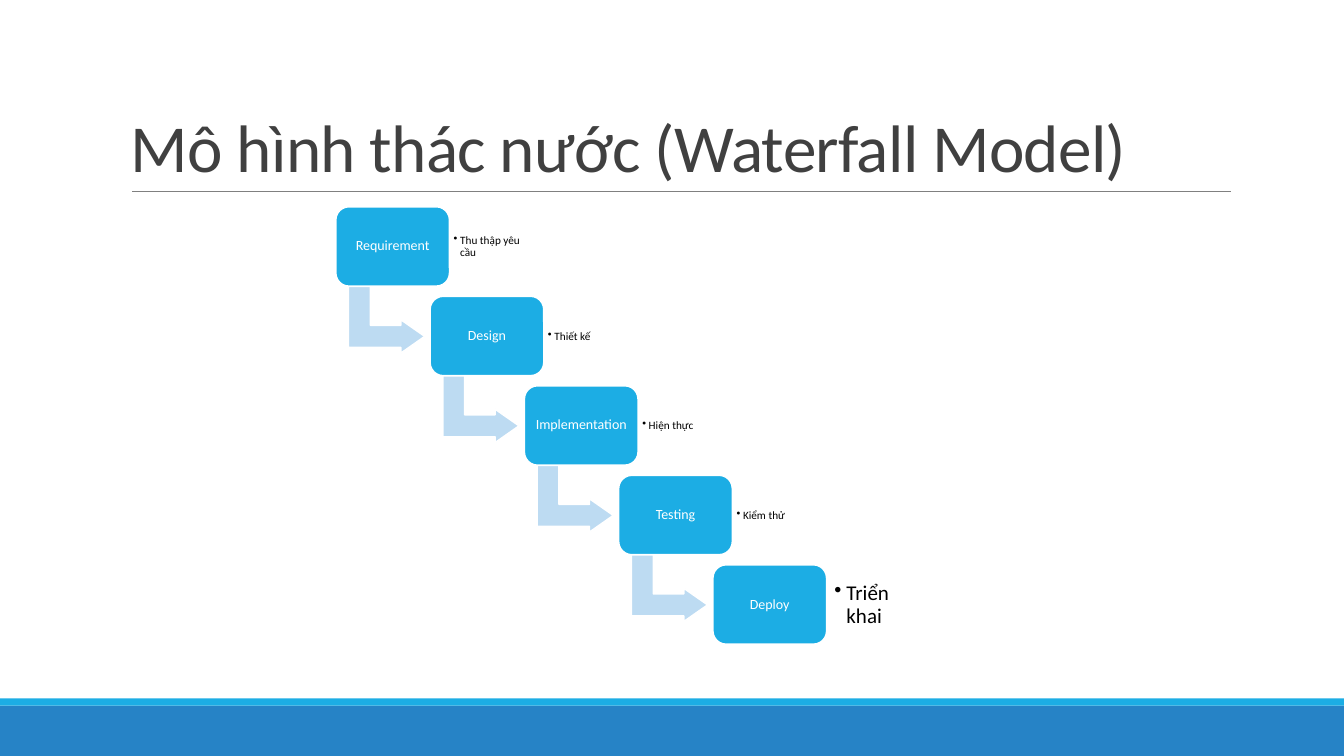
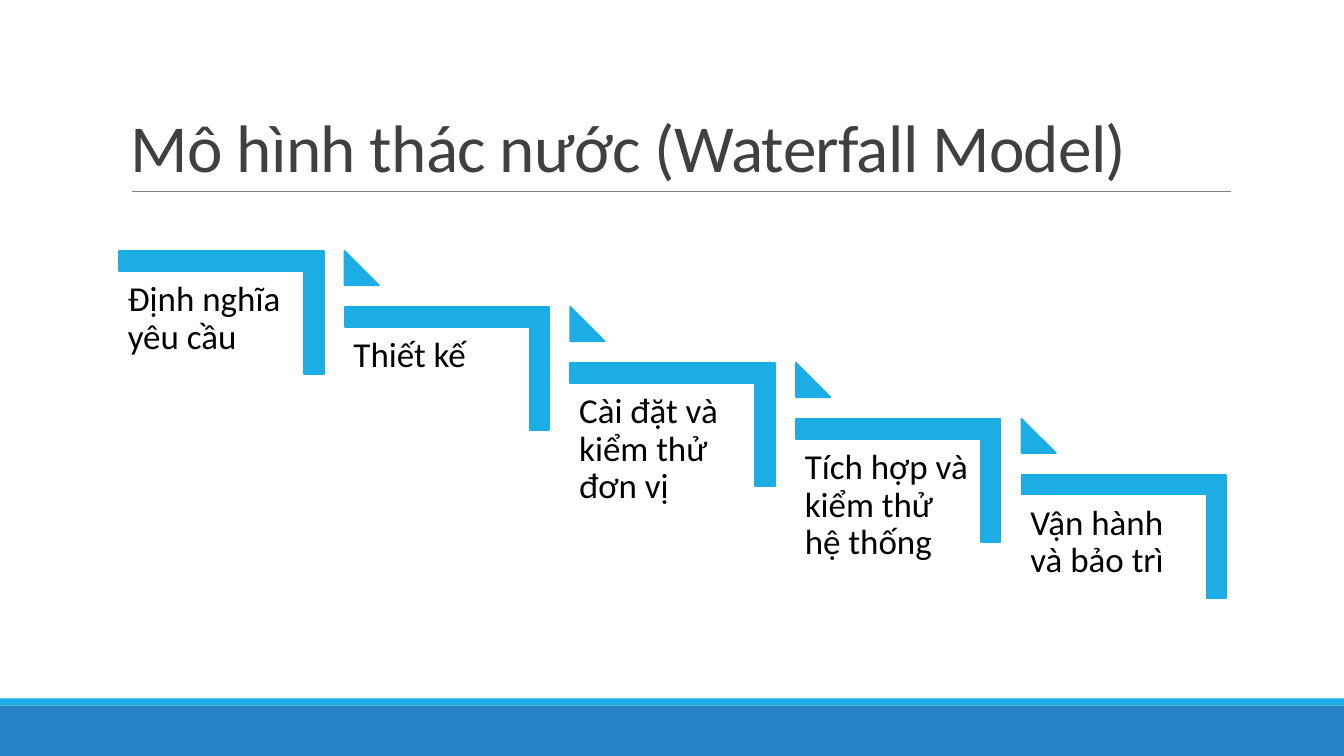
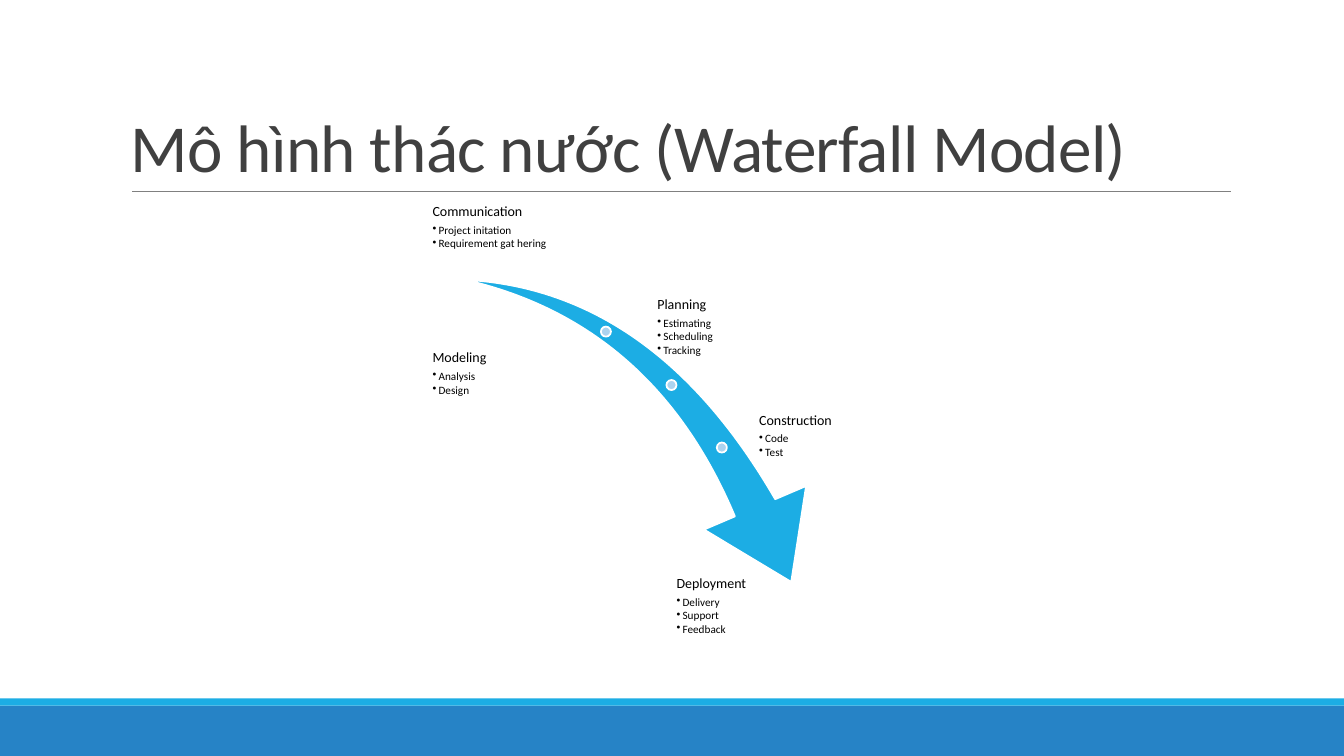
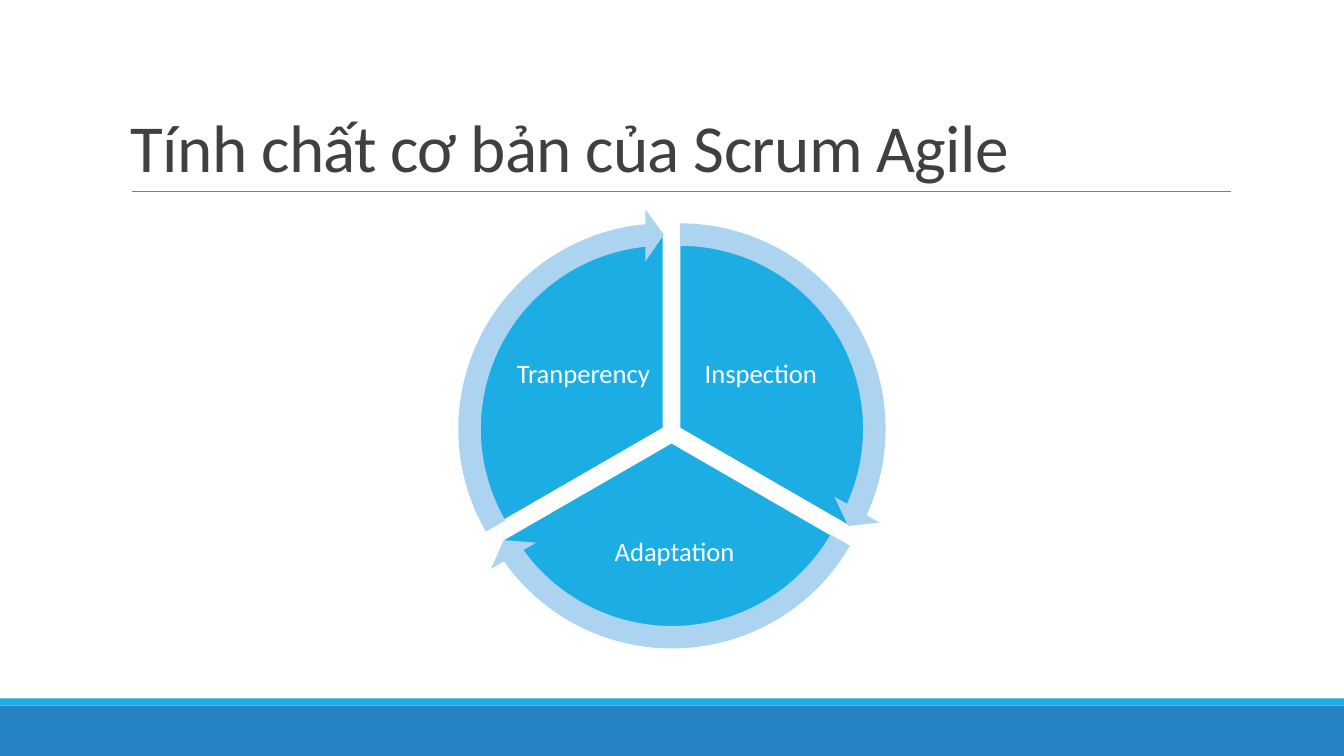
"""Build four slides on the waterfall model and Scrum Agile."""
from lxml import etree
from pptx import Presentation
from pptx.dml.color import RGBColor
from pptx.enum.shapes import MSO_CONNECTOR, MSO_SHAPE
from pptx.enum.text import MSO_ANCHOR, PP_ALIGN
from pptx.oxml.ns import qn
from pptx.util import Inches, Pt

RECT, ROUND_RECT = MSO_SHAPE.RECTANGLE, MSO_SHAPE.ROUNDED_RECTANGLE
BENT_ARROW, SWOOSH = MSO_SHAPE.BENT_UP_ARROW, MSO_SHAPE.SWOOSH_ARROW
CORNER, TRIANGLE = MSO_SHAPE.CORNER, MSO_SHAPE.ISOSCELES_TRIANGLE
OVAL, PIE, CIRCULAR_ARROW = MSO_SHAPE.OVAL, MSO_SHAPE.PIE, MSO_SHAPE.CIRCULAR_ARROW
STRAIGHT = MSO_CONNECTOR.STRAIGHT
TOP, MIDDLE, BOTTOM = MSO_ANCHOR.TOP, MSO_ANCHOR.MIDDLE, MSO_ANCHOR.BOTTOM
LEFT, CENTER = PP_ALIGN.LEFT, PP_ALIGN.CENTER

FONT = "Calibri"
COLORS = {
    "accent": "1CADE4",
    "band": "2683C6",
    "arrow": "BDDBF2",
    "pale": "ACD3EF",
    "title": "404040",
    "rule": "808080",
    "text": "000000",
    "white": "FFFFFF",
}
WATERFALL = "Mô hình thác nước (Waterfall Model)"


def rgb(name):
    return RGBColor.from_string(COLORS[name])


def add_shape(s, kind, x, y, w, h, fill, line=None, rot=0, adj=()):
    sp = s.shapes.add_shape(kind, Inches(x), Inches(y), Inches(w), Inches(h))
    sp.shadow.inherit = False
    sp.rotation = rot
    for i, value in enumerate(adj):
        sp.adjustments[i] = value
    sp.fill.solid()
    sp.fill.fore_color.rgb = rgb(fill)
    if line:
        sp.line.color.rgb = rgb(line)
        sp.line.width = Pt(1.25)
    else:
        sp.line.fill.background()
    return sp


def setup_frame(sp, inset, anchor):
    tf = sp.text_frame
    tf.word_wrap = True
    tf.vertical_anchor = anchor
    tf.margin_left = tf.margin_right = Inches(inset)
    tf.margin_top = tf.margin_bottom = Inches(inset)
    return tf


def add_box(s, x, y, w, h, inset, anchor=TOP):
    sp = s.shapes.add_textbox(Inches(x), Inches(y), Inches(w), Inches(h))
    return setup_frame(sp, inset, anchor)


def write(p, text, size, color="text", align=LEFT, spacing=0.9, after=0):
    p.alignment = align
    p.line_spacing = spacing
    p.space_after = Pt(after)
    r = p.add_run()
    r.text = text
    r.font.name = FONT
    r.font.size = Pt(size)
    r.font.color.rgb = rgb(color)
    return r


def write_bullet(p, text, size, indent):
    write(p, text, size, after=size * 0.15)
    pPr = p._p.get_or_add_pPr()
    pPr.set("marL", str(Inches(indent)))
    pPr.set("indent", str(-Inches(indent)))
    etree.SubElement(pPr, qn("a:buChar")).set("char", "•")


def add_slide(prs, title):
    s = prs.slides.add_slide(prs.slide_layouts[6])
    add_shape(s, RECT, 0, 7, 13.33, 0.5, "band")
    add_shape(s, RECT, 0, 6.93, 13.33, 0.07, "accent")
    rule = s.shapes.add_connector(
        STRAIGHT, Inches(1.31), Inches(1.9), Inches(12.21), Inches(1.9))
    rule.line.color.rgb = rgb("rule")
    rule.line.width = Pt(0.5)
    etree.SubElement(rule._element.spPr, qn("a:effectLst"))
    tf = add_box(s, 1.2, 0.31, 11, 1.59, 0.1, BOTTOM)
    tf.margin_top = tf.margin_bottom = Inches(0.05)
    r = write(tf.paragraphs[0], title, 48, "title", spacing=0.85)
    r._r.get_or_add_rPr().set("spc", "-50")
    return s


def add_step_slide(prs):
    s = add_slide(prs, WATERFALL)
    steps = [
        ("Requirement", "Thu thập yêu cầu", 8),
        ("Design", "Thiết kế", 8),
        ("Implementation", "Hiện thực", 8),
        ("Testing", "Kiểm thử", 8),
        ("Deploy", "Triển khai", 15),
    ]
    for i, (name, note, size) in enumerate(steps):
        x, y = 3.33 + 0.935 * i, 2.05 + 0.888 * i
        if i < len(steps) - 1:
            add_shape(s, BENT_ARROW, x + 0.17, y + 0.74, 0.67, 0.76, "arrow",
                      "white", 90, (0.328, 0.25, 0.358))
        box = add_shape(s, ROUND_RECT, x, y, 1.13, 0.79, "accent", "white", adj=(0.167,))
        tf = setup_frame(box, 0.04, MIDDLE)
        write(tf.paragraphs[0], name, 10, "white", CENTER)
        tf = add_box(s, x + 1.13, y + 0.08, 0.82, 0.64, size * 0.005, MIDDLE)
        write_bullet(tf.paragraphs[0], note, size, size * 0.008)


def add_stair_slide(prs):
    s = add_slide(prs, WATERFALL)
    phases = [
        "Định nghĩa yêu cầu",
        "Thiết kế",
        "Cài đặt và kiểm thử đơn vị",
        "Tích hợp và kiểm thử hệ thống",
        "Vận hành và bảo trì",
    ]
    drop = 0.555
    for i, phase in enumerate(phases):
        x, y = 1.18 + 2.238 * i, 2.49 + drop * i
        add_shape(s, CORNER, x, y, 2.03, 1.22, "accent", "accent", 180, (0.161, 0.161))
        tf = add_box(s, x - 0.01, y + 0.2, 1.83, 1.6, 0.1)
        write(tf.paragraphs[0], phase, 25)
        if i:
            add_shape(s, TRIANGLE, x, y - drop, 0.34, 0.34, "accent", "accent", 90, (1,))


def add_swoosh_slide(prs):
    s = add_slide(prs, WATERFALL)
    add_shape(s, SWOOSH, 4.53, 2.89, 3.8, 2.65, "accent", "white", 73.3, (0.163, 0.314))
    for x, y in [(5.96, 3.24), (6.61, 3.77), (7.11, 4.39)]:
        add_shape(s, OVAL, x, y, 0.1, 0.1, "pale", "white")
    activities = [
        (4.28, 2.02, 1.79, "Communication", ["Project initation", "Requirement gat hering"]),
        (6.51, 2.94, 2.61, "Planning", ["Estimating", "Scheduling", "Tracking"]),
        (4.28, 3.47, 2.08, "Modeling", ["Analysis", "Design"]),
        (7.52, 4.09, 1.6, "Construction", ["Code", "Test"]),
        (6.7, 5.71, 2.42, "Deployment", ["Delivery", "Support", "Feedback"]),
    ]
    for x, y, w, name, tasks in activities:
        tf = add_box(s, x, y, w, 0.7, 0.01)
        write(tf.paragraphs[0], name, 10, after=3.5)
        for task in tasks:
            write_bullet(tf.add_paragraph(), task, 8, 0.06)


def add_cycle_slide(prs):
    s = add_slide(prs, "Tính chất cơ bản của Scrum Agile")
    sectors = [
        ("Inspection", 4.8, 2.31, (162, 18), (6.85, 3.14, 1.39, 1.16), (14.725, 161.994)),
        ("Adaptation", 4.72, 2.45, (18, 90), (5.65, 4.97, 2.08, 1.02), (86.72, 18.005)),
        ("Tranperency", 4.64, 2.31, (90, 162), (5.09, 3.14, 1.39, 1.16), (158.73, 90)),
    ]
    for name, x, y, angles, label, _ in sectors:
        add_shape(s, PIE, x, y, 3.88, 3.88, "accent", "white", adj=angles)
        tf = add_box(s, *label, 0.03, MIDDLE)
        write(tf.paragraphs[0], name, 19, "white", CENTER)
    for _, x, y, _, _, sweep in sectors:
        add_shape(s, CIRCULAR_ARROW, x - 0.24, y - 0.24, 4.37, 4.37, "pale",
                  adj=(0.051, 3.275, *sweep, 0.059))


def main():
    prs = Presentation()
    prs.slide_width, prs.slide_height = Inches(13.33), Inches(7.5)
    add_step_slide(prs)
    add_stair_slide(prs)
    add_swoosh_slide(prs)
    add_cycle_slide(prs)
    prs.save("out.pptx")


if __name__ == "__main__":
    main()
